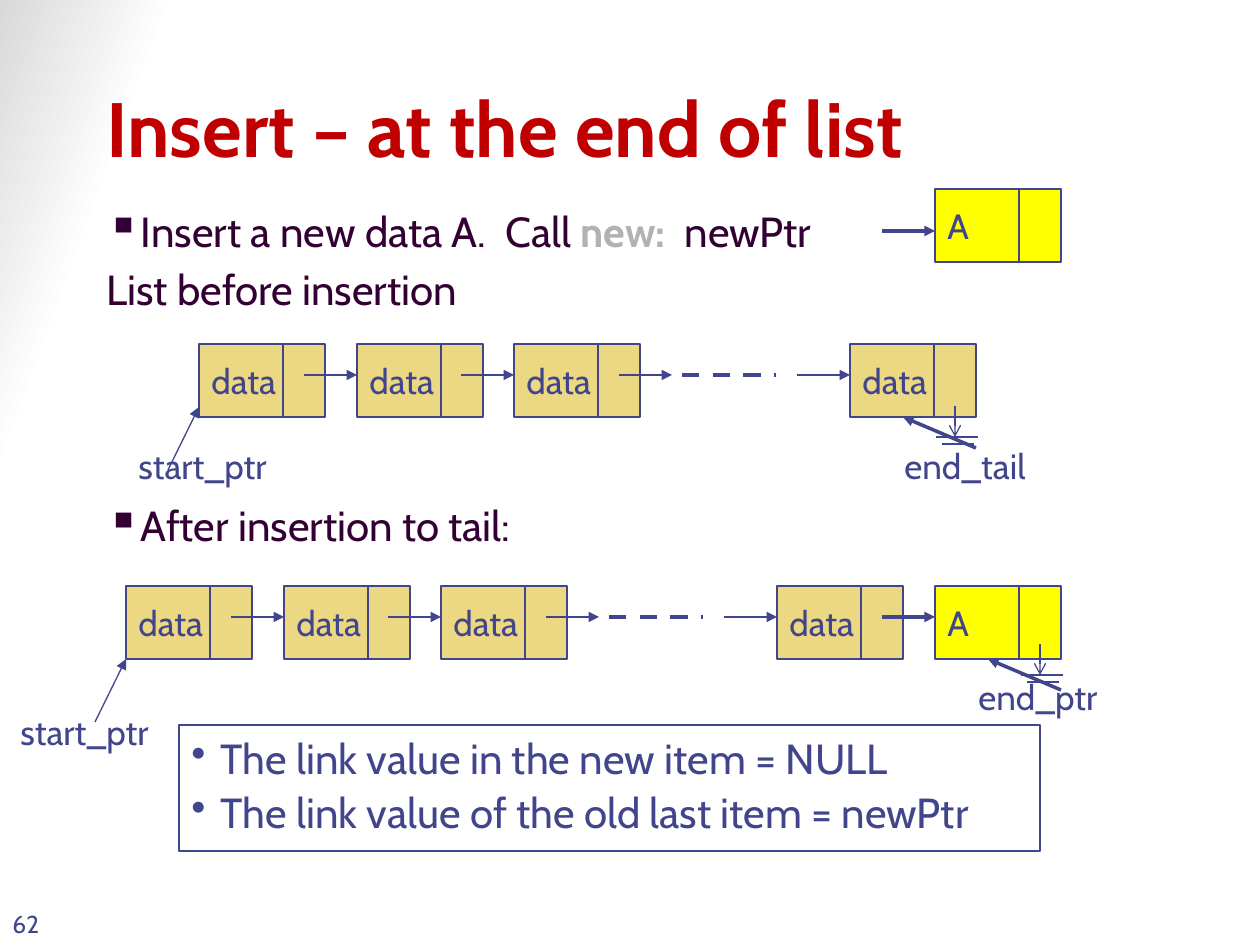
from lxml import etree
from pptx import Presentation
from pptx.dml.color import RGBColor
from pptx.enum.dml import MSO_LINE
from pptx.enum.shapes import MSO_CONNECTOR, MSO_SHAPE
from pptx.enum.text import MSO_ANCHOR, PP_ALIGN
from pptx.oxml.ns import qn
from pptx.util import Emu, Pt

STRAIGHT = MSO_CONNECTOR.STRAIGHT
RECTANGLE = MSO_SHAPE.RECTANGLE
DASH = MSO_LINE.DASH
TOP, MIDDLE, BOTTOM = MSO_ANCHOR.TOP, MSO_ANCHOR.MIDDLE, MSO_ANCHOR.BOTTOM
LEFT, JUSTIFY = PP_ALIGN.LEFT, PP_ALIGN.JUSTIFY

INK, PLUM, RED, GREY = "40458C", "330033", "C00000", "B2B2B2"
TAN, YELLOW, WHITE, SHADE = "ECD882", "FFFF00", "FFFFFF", "D9D9D9"
DATA_WIDTH, LINK_WIDTH, NODE_HEIGHT = 84, 42, 73
NODE_OFFSETS = (0, 158, 315, 651)
ARROW_OFFSETS = (105, 262, 420, 598)
ARROW_LENGTH, ARROW_DROP = 53, 31
HAIRLINE, THIN, THICK = 0, 0.75, 2.5


def px(value):
    return Emu(round(value * 914400 / 126))


def color(value):
    return RGBColor.from_string(value)


class ListSlide:
    font = "Cabin"

    def __init__(self, presentation):
        self.slide = presentation.slides.add_slide(presentation.slide_layouts[6])
        self.shapes = self.slide.shapes

    def background(self):
        fill = self.slide.background.fill
        fill.gradient()
        fill.gradient_angle = 160
        for stop, position, shade in zip(fill.gradient_stops, (0.89, 1), (WHITE, SHADE)):
            stop.position = position
            stop.color.rgb = color(shade)

    def add_runs(self, paragraph, runs, size, align=LEFT, before=0, spacing=None):
        paragraph.alignment = align
        paragraph.space_before = Pt(before)
        if spacing:
            paragraph.line_spacing = spacing
        for text, ink, bold in runs:
            run = paragraph.add_run()
            run.text = text
            run.font.name = self.font
            run.font.size = Pt(size)
            run.font.bold = bold
            run.font.color.rgb = color(ink)

    def bullet(self, paragraph, symbol, percent=100, hanging=0):
        properties = paragraph._p.get_or_add_pPr()
        properties.set("marL", str(px(hanging)))
        properties.set("indent", str(-px(hanging)))
        etree.SubElement(properties, qn("a:buSzPct")).set("val", str(percent * 1000))
        etree.SubElement(properties, qn("a:buChar")).set("char", symbol)

    def text(self, left, top, width, height, runs, size, anchor=TOP):
        shape = self.shapes.add_textbox(px(left), px(top), px(width), px(height))
        frame = shape.text_frame
        frame.word_wrap = True
        frame.vertical_anchor = anchor
        self.add_runs(frame.paragraphs[0], runs, size)
        return frame

    def label(self, left, top, text):
        self.text(left, top, 189, 55, [(text, INK, False)], 20)

    def box(self, left, top, width, height, fill=None, weight=THIN):
        shape = self.shapes.add_shape(RECTANGLE, px(left), px(top), px(width), px(height))
        shape.shadow.inherit = False
        if fill:
            shape.fill.solid()
            shape.fill.fore_color.rgb = color(fill)
        else:
            shape.fill.background()
        shape.line.color.rgb = color(INK)
        shape.line.width = Pt(weight)
        frame = shape.text_frame
        frame.word_wrap = False
        frame.vertical_anchor = MIDDLE
        return frame

    def line(self, start, end, weight=THIN, head=None, dash=None):
        connector = self.shapes.add_connector(
            STRAIGHT, *(px(value) for value in (*start, *end)))
        connector.line.color.rgb = color(INK)
        connector.line.width = Pt(weight)
        if dash:
            connector.line.dash_style = dash
        properties = connector._element.spPr
        if head:
            outline = properties.find(qn("a:ln"))
            etree.SubElement(outline, qn("a:tailEnd")).set("type", head)
        etree.SubElement(properties, qn("a:effectLst"))

    def arrow(self, left, top, weight=THIN):
        self.line((left, top), (left + ARROW_LENGTH, top), weight, "triangle")

    def node(self, left, top, text, fill):
        frame = self.box(left, top, DATA_WIDTH, NODE_HEIGHT, fill)
        self.add_runs(frame.paragraphs[0], [(text, INK, False)], 20)
        self.box(left + DATA_WIDTH, top, LINK_WIDTH, NODE_HEIGHT, fill)

    def chain(self, left, top, start_top):
        for offset in NODE_OFFSETS:
            self.node(left + offset, top, "data", TAN)
        middle = top + ARROW_DROP
        for offset in ARROW_OFFSETS:
            self.arrow(left + offset, middle)
        self.line((left + 483, middle), (left + 577, middle), THICK, dash=DASH)
        self.line((left - 31, start_top + 63), (left, start_top), head="triangle")

    def tail(self, left, top, ground_top):
        bottom = top + NODE_HEIGHT
        self.line((left + DATA_WIDTH + LINK_WIDTH, bottom + 31), (left + 53, bottom),
                  HAIRLINE, "triangle")
        center = left + DATA_WIDTH + LINK_WIDTH // 2
        plate = ground_top + 31
        self.line((center - 19, plate), (center + 23, plate))
        self.line((center - 13, plate + 7), (center + 19, plate + 7))
        self.line((center, ground_top), (center, plate), head="arrow")


def main():
    presentation = Presentation()
    presentation.slide_width, presentation.slide_height = px(1260), px(945)
    page = ListSlide(presentation)
    page.background()
    page.text(0, 882, 73, 63, [("62", INK, False)], 14, BOTTOM)
    page.text(94, 84, 1071, 95, [("Insert – at the end of list", RED, True)], 44, BOTTOM)

    body = page.text(94, 199, 1071, 630, [
        ("Insert a new data A.  Call ", PLUM, False),
        ("new:  ", GREY, True),
        ("newPtr", PLUM, False)], 24)
    page.add_runs(body.add_paragraph(), [("List before insertion", PLUM, False)], 24, before=4.8)
    page.add_runs(body.add_paragraph(), [("After insertion to tail:", PLUM, False)], 24, before=106)
    for index in (0, 2):
        page.bullet(body.paragraphs[index], "▪", 110)

    page.chain(199, 344, 407)
    page.label(126, 438, "start_ptr")
    page.label(892, 438, "end_tail")
    page.tail(850, 344, 406)

    page.chain(126, 586, 659)
    page.label(8, 704, "start_ptr")
    page.label(966, 669, "end_ptr")
    for top, arrow_top in ((189, 231), (586, 617)):
        page.node(935, top, "A", YELLOW)
        page.arrow(882, arrow_top, HAIRLINE)
    page.tail(935, 586, 644)

    conclusion = page.box(179, 725, 861, 126, weight=HAIRLINE)
    rules = ("The link value in the new item = NULL",
             "The link value of the old last item = newPtr")
    for index, rule in enumerate(rules):
        paragraph = conclusion.add_paragraph() if index else conclusion.paragraphs[0]
        page.bullet(paragraph, "•", hanging=29)
        page.add_runs(paragraph, [(rule, INK, False)], 24, JUSTIFY, 4.8 * index, 0.9)

    presentation.save("out.pptx")


if __name__ == "__main__":
    main()
